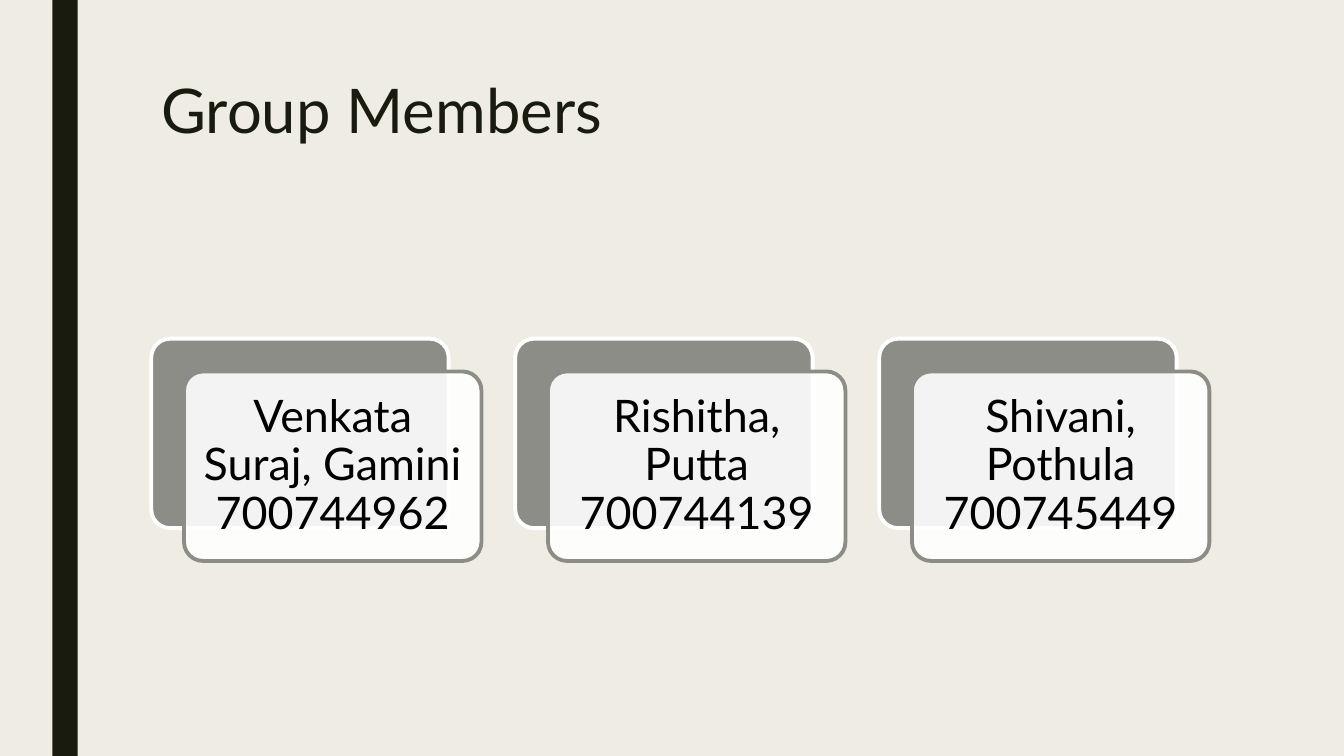
from lxml import etree
from pptx import Presentation
from pptx.dml.color import RGBColor
from pptx.enum.shapes import MSO_SHAPE
from pptx.enum.text import MSO_ANCHOR, PP_ALIGN
from pptx.oxml.ns import qn
from pptx.util import Inches, Pt

RECTANGLE, ROUNDED = MSO_SHAPE.RECTANGLE, MSO_SHAPE.ROUNDED_RECTANGLE
TOP, MIDDLE = MSO_ANCHOR.TOP, MSO_ANCHOR.MIDDLE
LEFT, CENTER = PP_ALIGN.LEFT, PP_ALIGN.CENTER

TITLE = "Group Members"
MEMBERS = [
    "Venkata Suraj, Gamini 700744962",
    "Rishitha, Putta 700744139",
    "Shivani, Pothula 700745449",
]
COLORS = {"paper": "EFEDE3", "ink": "191B0E", "gray": "8C8D86",
          "white": "FFFFFF", "black": "000000"}
FONT = "Lato"

CARD_LEFT, CARD_TOP = 1.5, 3.36
CARD_WIDTH, CARD_HEIGHT = 2.95, 1.88
CARD_STEP = 3.61
FRONT_SHIFT = 0.325
CARD_INSET = 0.12
FRONT_OPACITY = 90

TITLE_FRAME = {"word_wrap": True, "vertical_anchor": TOP}
CARD_FRAME = {"word_wrap": True, "vertical_anchor": MIDDLE}
for side in ("left", "top", "right", "bottom"):
    CARD_FRAME[f"margin_{side}"] = Inches(CARD_INSET)


def rgb(name):
    return RGBColor.from_string(COLORS[name])


def set_text(shape, text, size, color, frame_format, paragraph_format):
    frame = shape.text_frame
    frame.text = text
    paragraph = frame.paragraphs[0]
    font_format = {"name": FONT, "size": Pt(size), "bold": False}
    for target, values in ((frame, frame_format), (paragraph, paragraph_format),
                           (paragraph.runs[0].font, font_format)):
        for attribute, value in values.items():
            setattr(target, attribute, value)
    paragraph.runs[0].font.color.rgb = rgb(color)


def add_block(slide, preset, box, fill, line=None):
    block = slide.shapes.add_shape(preset, *map(Inches, box))
    block.shadow.inherit = False
    block.fill.solid()
    block.fill.fore_color.rgb = rgb(fill)
    if line:
        block.adjustments[0] = 0.1
        block.line.color.rgb = rgb(line)
        block.line.width = Pt(2.75)
    else:
        block.line.fill.background()
    return block


def set_opacity(shape, percent):
    color = shape.fill._xPr.find(qn("a:solidFill"))[0]
    etree.SubElement(color, qn("a:alpha")).set("val", str(percent * 1000))


def add_member_card(slide, left, member):
    size = (CARD_WIDTH, CARD_HEIGHT)
    add_block(slide, ROUNDED, (left, CARD_TOP, *size), "gray", "white")
    front = add_block(slide, ROUNDED,
                      (left + FRONT_SHIFT, CARD_TOP + FRONT_SHIFT, *size),
                      "white", "gray")
    set_opacity(front, FRONT_OPACITY)
    set_text(front, member, 32, "black", CARD_FRAME,
             {"alignment": CENTER, "line_spacing": 0.9})


def main():
    deck = Presentation()
    deck.slide_width, deck.slide_height = Inches(13.33), Inches(7.5)
    slide = deck.slides.add_slide(deck.slide_layouts[5])
    slide.background.fill.solid()
    slide.background.fill.fore_color.rgb = rgb("paper")

    add_block(slide, RECTANGLE, (0.52, 0, 0.25, 7.5), "ink")

    title = slide.shapes.title
    title.left, title.top, title.width, title.height = map(
        Inches, (1.5, 0.75, 10.5, 1.62))
    set_text(title, TITLE, 44, "ink", TITLE_FRAME,
             {"alignment": LEFT, "line_spacing": 0.89})

    for index, member in enumerate(MEMBERS):
        add_member_card(slide, CARD_LEFT + index * CARD_STEP, member)

    deck.save("out.pptx")


if __name__ == "__main__":
    main()
